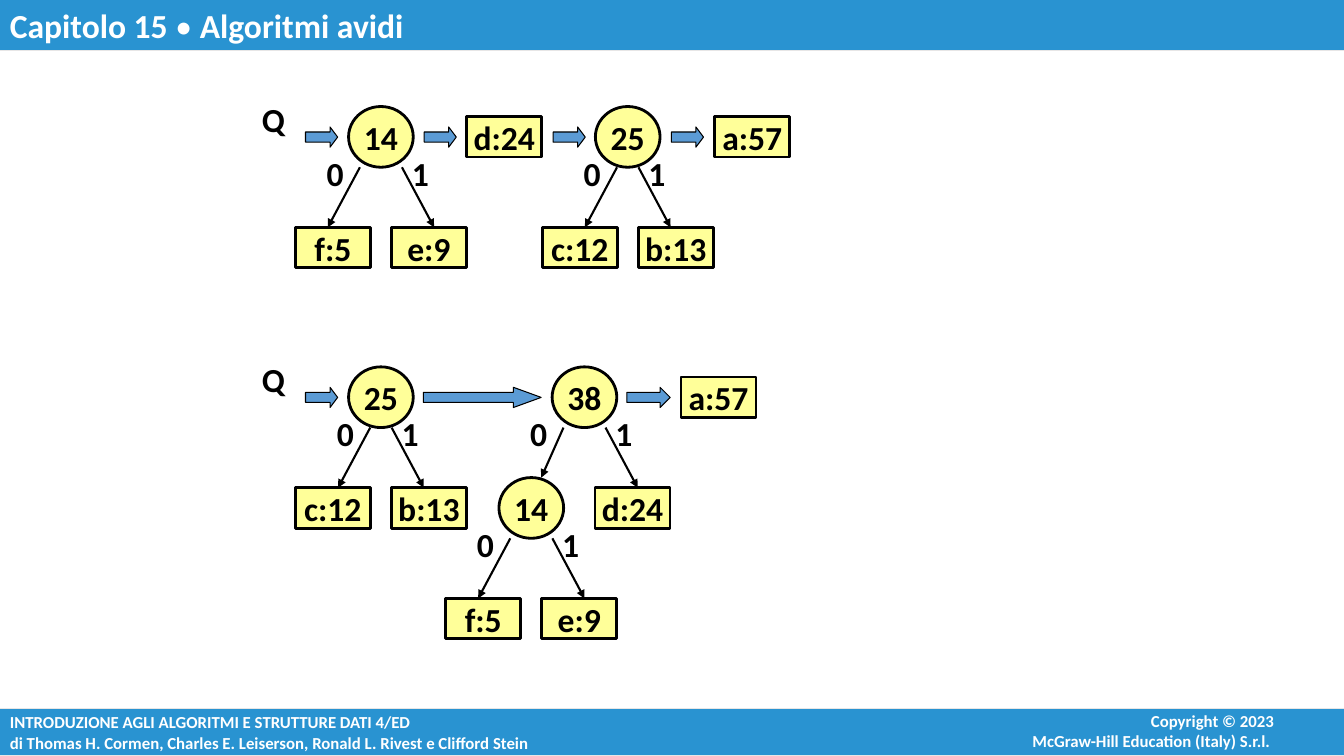
from lxml import etree
from pptx import Presentation
from pptx.dml.color import RGBColor
from pptx.enum.shapes import MSO_CONNECTOR, MSO_SHAPE as Preset
from pptx.enum.text import MSO_ANCHOR as Anchor, PP_ALIGN as Align
from pptx.oxml.ns import qn
from pptx.util import Cm, Pt

BLUE = RGBColor(0x29, 0x93, 0xD1)
ARROW_BLUE = RGBColor(0x5B, 0x9B, 0xD5)
YELLOW = RGBColor(0xFF, 0xFF, 0x99)
GREY = RGBColor(0xE7, 0xE6, 0xE6)
BLACK = RGBColor(0, 0, 0)
WHITE = RGBColor(0xFF, 0xFF, 0xFF)

LEVEL = 2.79
NODE_W, NODE_H = 1.63, 1.53
LEAF_W, LEAF_H = 1.89, 1.02
WIDE, NARROW = 0.53, 0.27


class HuffmanSlide:
    """Draws queues of Huffman trees on one slide, with lengths in centimetres."""

    font = "Calibri"

    def __init__(self, slide):
        self.shapes = slide.shapes

    def label(self, shape, lines, size=24, color=BLACK, align=Align.CENTER,
              anchor=Anchor.MIDDLE, wrap=False):
        frame = shape.text_frame
        frame.word_wrap = wrap
        frame.vertical_anchor = anchor
        frame.text = lines[0]
        for line in lines[1:]:
            frame.add_paragraph().text = line
        for paragraph in frame.paragraphs:
            paragraph.alignment = align
            paragraph.font.name = self.font
            paragraph.font.size = Pt(size)
            paragraph.font.bold = True
            paragraph.font.color.rgb = color
        return frame

    def block(self, preset, left, top, width, height, fill, line, weight):
        shape = self.shapes.add_shape(preset, Cm(left), Cm(top), Cm(width), Cm(height))
        shape.shadow.inherit = False
        shape.fill.solid()
        shape.fill.fore_color.rgb = fill
        shape.line.color.rgb = line
        shape.line.width = Pt(weight)
        return shape

    def bar(self, top, height):
        return self.block(Preset.RECTANGLE, 0, top, 33.91, height, BLUE, GREY, 0.75)

    def text(self, left, top, width, height, lines, **style):
        box = self.shapes.add_textbox(Cm(left), Cm(top), Cm(width), Cm(height))
        self.label(box, lines, **style)

    def vertex(self, preset, x, y, width, height, key):
        shape = self.block(preset, x - width / 2, y - height / 2, width, height,
                           YELLOW, BLACK, 2)
        self.label(shape, [key])

    def leaf(self, x, y, key):
        self.vertex(Preset.RECTANGLE, x, y, LEAF_W, LEAF_H, key)

    def node(self, x, y, key):
        self.vertex(Preset.OVAL, x, y, NODE_W, NODE_H, key)

    def edge(self, x1, y1, x2, y2):
        line = self.shapes.add_connector(MSO_CONNECTOR.STRAIGHT,
                                         Cm(x1), Cm(y1), Cm(x2), Cm(y2))
        line.line.color.rgb = BLACK
        line.line.width = Pt(1.5)
        properties = line.element.spPr
        etree.SubElement(properties.find(qn("a:ln")), qn("a:tailEnd"), type="triangle")
        etree.SubElement(properties, qn("a:effectLst"))

    def tree(self, x, y, key, spread, left, right):
        self.node(x, y, key)
        foot = y + NODE_H / 2
        for side, bit, child, shift in ((-1, "0", left, -1.09), (1, "1", right, 0)):
            start = x + side * spread
            if isinstance(child, tuple):
                self.edge(start, foot, start - 0.56, y + LEVEL - NODE_H / 2)
                self.tree(x - 1.34, y + LEVEL, *child)
            else:
                self.edge(start, foot, start + side * 0.81, y + LEVEL - LEAF_H / 2)
                self.leaf(x + side * 1.21, y + LEVEL, child)
            self.text(start + shift, y + 0.18, 1.02, 1.45, [bit], align=Align.LEFT)

    def queue(self, y, arrows):
        self.text(6.35, y - 1.35, 1.27, 1.78, ["Q"], align=Align.LEFT)
        for left, width, head in arrows:
            arrow = self.block(Preset.RIGHT_ARROW, left, y - 0.25, width, 0.51,
                               ARROW_BLUE, BLACK, 0.75)
            arrow.adjustments[0] = 0.5
            arrow.adjustments[1] = head


def main():
    deck = Presentation()
    deck.slide_width, deck.slide_height = Cm(33.87), Cm(19.05)
    slide = HuffmanSlide(deck.slides.add_slide(deck.slide_layouts[6]))

    slide.label(slide.bar(17.86, 1.19),
                ["INTRODUZIONE AGLI ALGORITMI E STRUTTURE DATI 4/ED\v"
                 "di Thomas H. Cormen, Charles E. Leiserson, Ronald L. Rivest e Clifford Stein"],
                size=12, color=WHITE, align=Align.LEFT)
    slide.text(22.58, 17.78, 9.78, 1.27,
               ["Copyright © 2023", "McGraw-Hill Education (Italy) S.r.l. "],
               size=12, color=WHITE, align=Align.RIGHT, anchor=Anchor.TOP, wrap=True)
    title = slide.label(slide.bar(0, 1.27), ["Capitolo 15 "], color=WHITE,
                        align=Align.LEFT, anchor=Anchor.TOP, wrap=True).paragraphs[0]
    bullet = title.add_run()
    bullet.text = "•"
    bullet.font.bold = False
    title.add_run().text = " Algoritmi avidi"

    before = 3.45
    slide.queue(before, [(left, 0.81, 0.375) for left in (7.7, 10.69, 13.94, 16.92)])
    slide.tree(9.6, before, "14", WIDE, "f:5", "e:9")
    slide.leaf(12.71, before, "d:24")
    slide.tree(15.82, before, "25", NARROW, "c:12", "b:13")
    slide.leaf(18.96, before, "a:57")

    after = 10.01
    slide.queue(after, [(7.7, 0.81, 0.375), (10.67, 2.97, 1.375), (15.8, 1.09, 0.5)])
    slide.tree(9.6, after, "25", NARROW, "c:12", "b:13")
    slide.tree(14.73, after, "38", WIDE, ("14", WIDE, "f:5", "e:9"), "d:24")
    slide.leaf(18.11, after, "a:57")

    deck.save("out.pptx")


if __name__ == "__main__":
    main()
